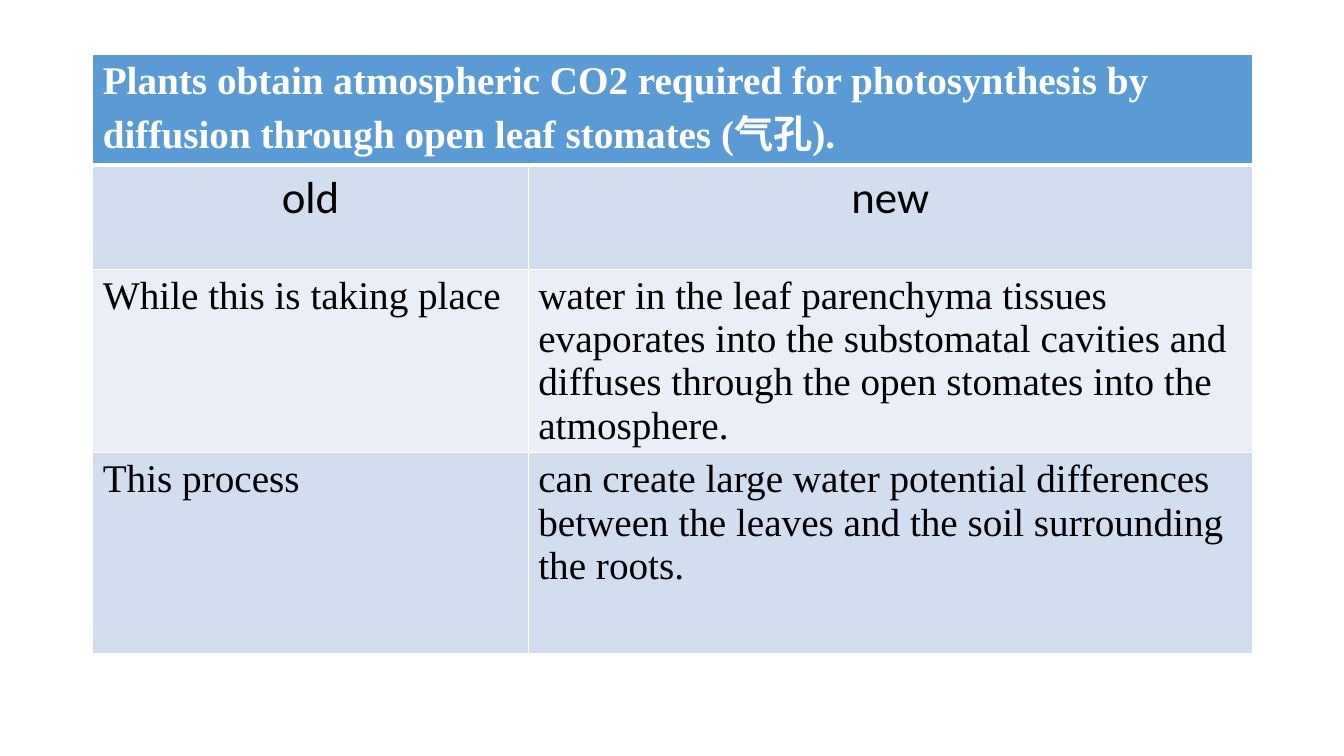
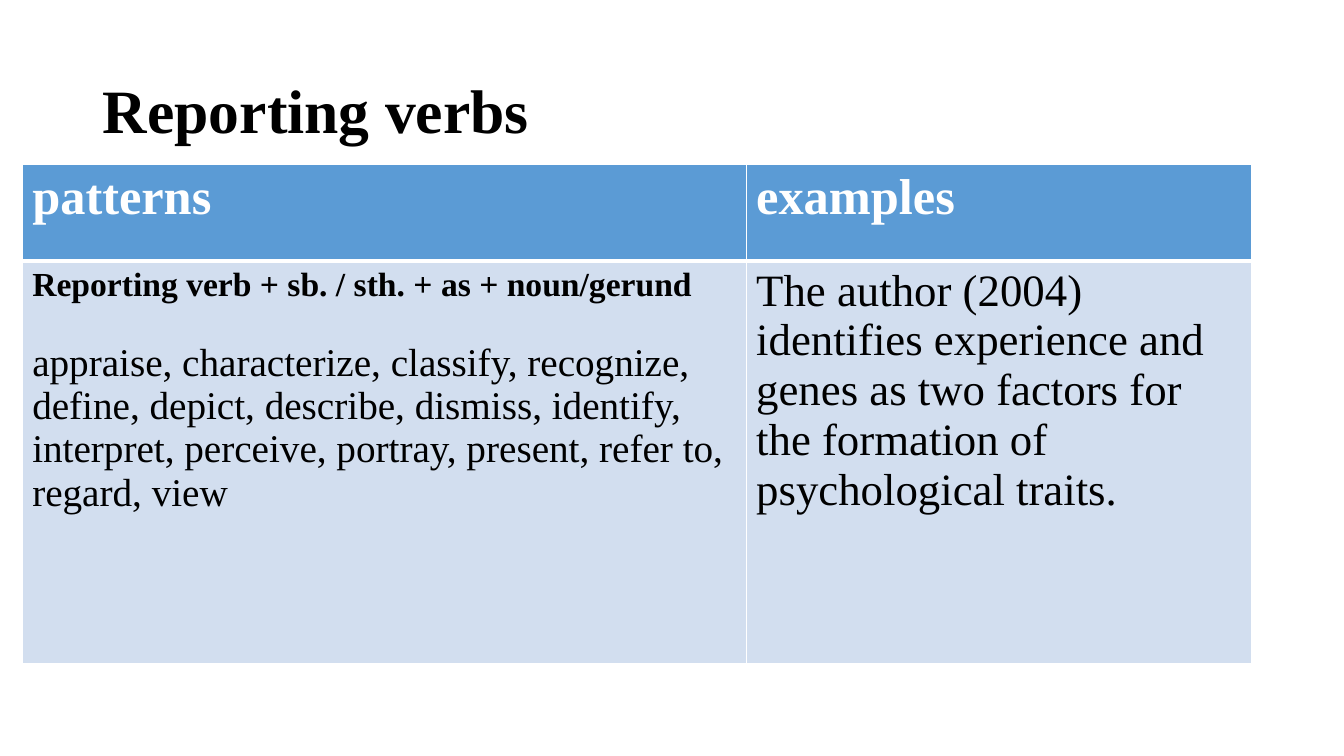
from dataclasses import dataclass

from lxml.etree import SubElement
from pptx import Presentation
from pptx.dml.color import RGBColor
from pptx.enum.text import MSO_ANCHOR, MSO_AUTO_SIZE, PP_ALIGN
from pptx.oxml.ns import qn
from pptx.slide import Slide
from pptx.table import _Cell
from pptx.util import Inches, Pt

COLORS = {
    "header": "5B9BD5",
    "band_dark": "D2DEEF",
    "band_light": "EAEFF7",
    "white": "FFFFFF",
    "black": "000000",
}
SERIF = "Times New Roman"
SANS = "Calibri"
TITLE_ONLY, BLANK = 5, 6


@dataclass(frozen=True)
class Line:
    text: str
    size: float = 28
    bold: bool = False
    font: str = SERIF
    align: PP_ALIGN = PP_ALIGN.LEFT
    space_before: float = 0


@dataclass(frozen=True)
class Grid:
    left: float
    top: float
    columns: list[float]
    heights: list[float]
    rows: list[list[list[Line]]]  # a row with one cell spans all columns


def color(name: str) -> RGBColor:
    return RGBColor.from_string(COLORS[name])


def set_borders(cell: _Cell, top: float, bottom: float) -> None:
    properties = cell._tc.get_or_add_tcPr()
    for side, width in (("L", 1), ("R", 1), ("T", top), ("B", bottom)):
        border = SubElement(properties, qn(f"a:ln{side}"), w=str(Pt(width)))
        fill = SubElement(border, qn("a:solidFill"))
        SubElement(fill, qn("a:srgbClr"), val=COLORS["white"])


def write_cell(cell: _Cell, lines: list[Line], color_name: str) -> None:
    text_frame = cell.text_frame
    text_frame.text = "\n".join(line.text for line in lines)
    for paragraph, line in zip(text_frame.paragraphs, lines):
        paragraph.alignment = line.align
        paragraph.space_before = Pt(line.space_before)
        for run in paragraph.runs:
            run.font.name = line.font
            run.font.size = Pt(line.size)
            run.font.bold = line.bold
            run.font.color.rgb = color(color_name)


def add_grid(slide: Slide, grid: Grid) -> None:
    frame = slide.shapes.add_table(
        len(grid.rows), len(grid.columns), Inches(grid.left), Inches(grid.top),
        Inches(sum(grid.columns)), Inches(sum(grid.heights)))
    table = frame.table
    table.first_row = table.horz_banding = False
    for column, width in zip(table.columns, grid.columns):
        column.width = Inches(width)
    for row, height in zip(table.rows, grid.heights):
        row.height = Inches(height)

    for row_index, contents in enumerate(grid.rows):
        is_header = row_index == 0
        band = "header" if is_header else ("band_light", "band_dark")[row_index % 2]
        for cell in table.rows[row_index].cells:
            set_borders(cell, top=3 if row_index == 1 else 1, bottom=3 if is_header else 1)
            cell.fill.solid()
            cell.fill.fore_color.rgb = color(band)
        if len(contents) < len(grid.columns):
            table.cell(row_index, 0).merge(table.cell(row_index, len(grid.columns) - 1))
        for column_index, lines in enumerate(contents):
            write_cell(table.cell(row_index, column_index), lines,
                       "white" if is_header else "black")


def set_title(slide: Slide, text: str) -> None:
    title = slide.shapes.title
    title.left, title.top = Inches(0.92), Inches(0.4)
    title.width, title.height = Inches(11.5), Inches(1.45)
    text_frame = title.text_frame
    text_frame.text = text
    text_frame.word_wrap = True
    text_frame.auto_size = MSO_AUTO_SIZE.NONE
    text_frame.vertical_anchor = MSO_ANCHOR.MIDDLE
    paragraph = text_frame.paragraphs[0]
    paragraph.alignment = PP_ALIGN.LEFT
    paragraph.line_spacing = 0.9
    font = paragraph.runs[0].font
    font.name, font.size, font.bold = SERIF, Pt(44), True
    font.color.rgb = color("black")


def column_label(text: str) -> list[Line]:
    return [Line(text, size=32, font=SANS, align=PP_ALIGN.CENTER)]


OLD_AND_NEW = Grid(
    left=0.92, top=0.54, columns=[4.32, 7.18], heights=[1.1, 1.03, 1.82, 1.99],
    rows=[
        [[Line("Plants obtain atmospheric CO2 required for photosynthesis by "
               "diffusion through open leaf stomates (气孔).", bold=True)]],
        [column_label("old"), column_label("new")],
        [[Line("While this is taking place")],
         [Line("water in the leaf parenchyma tissues evaporates into the substomatal "
               "cavities and diffuses through the open stomates into the atmosphere.")]],
        [[Line("This process")],
         [Line("can create large water potential differences between the leaves "
               "and the soil surrounding the roots.")]],
    ])

REPORTING_VERBS = Grid(
    left=0.22, top=1.63, columns=[7.18, 5.01], heights=[0.96, 3.99],
    rows=[
        [[Line("patterns", size=36, bold=True)], [Line("examples", size=36, bold=True)]],
        [[Line("Reporting verb + sb. / sth. + as + noun/gerund", size=24, bold=True),
          Line("appraise, characterize, classify, recognize, define, depict, describe, "
               "dismiss, identify, interpret, perceive, portray, present, refer to, "
               "regard, view", space_before=27)],
         [Line("The author (2004) identifies experience and genes as two factors for "
               "the formation of psychological traits.", size=32)]],
    ])


def main() -> None:
    presentation = Presentation()
    presentation.slide_width = Inches(13.33)
    presentation.slide_height = Inches(7.5)
    layouts = presentation.slide_layouts

    add_grid(presentation.slides.add_slide(layouts[BLANK]), OLD_AND_NEW)

    verbs_slide = presentation.slides.add_slide(layouts[TITLE_ONLY])
    set_title(verbs_slide, "Reporting verbs")
    add_grid(verbs_slide, REPORTING_VERBS)

    presentation.save("out.pptx")


if __name__ == "__main__":
    main()
